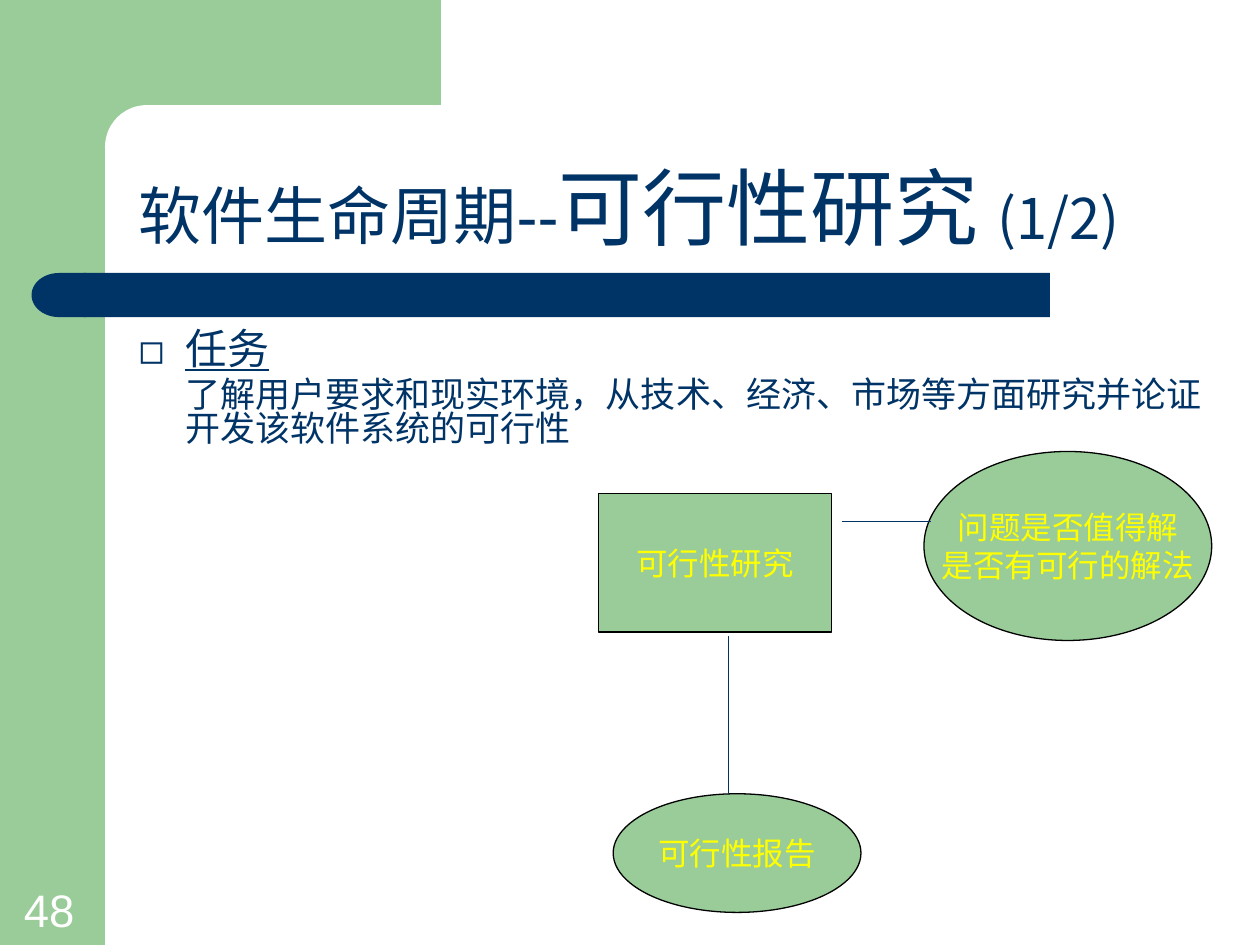
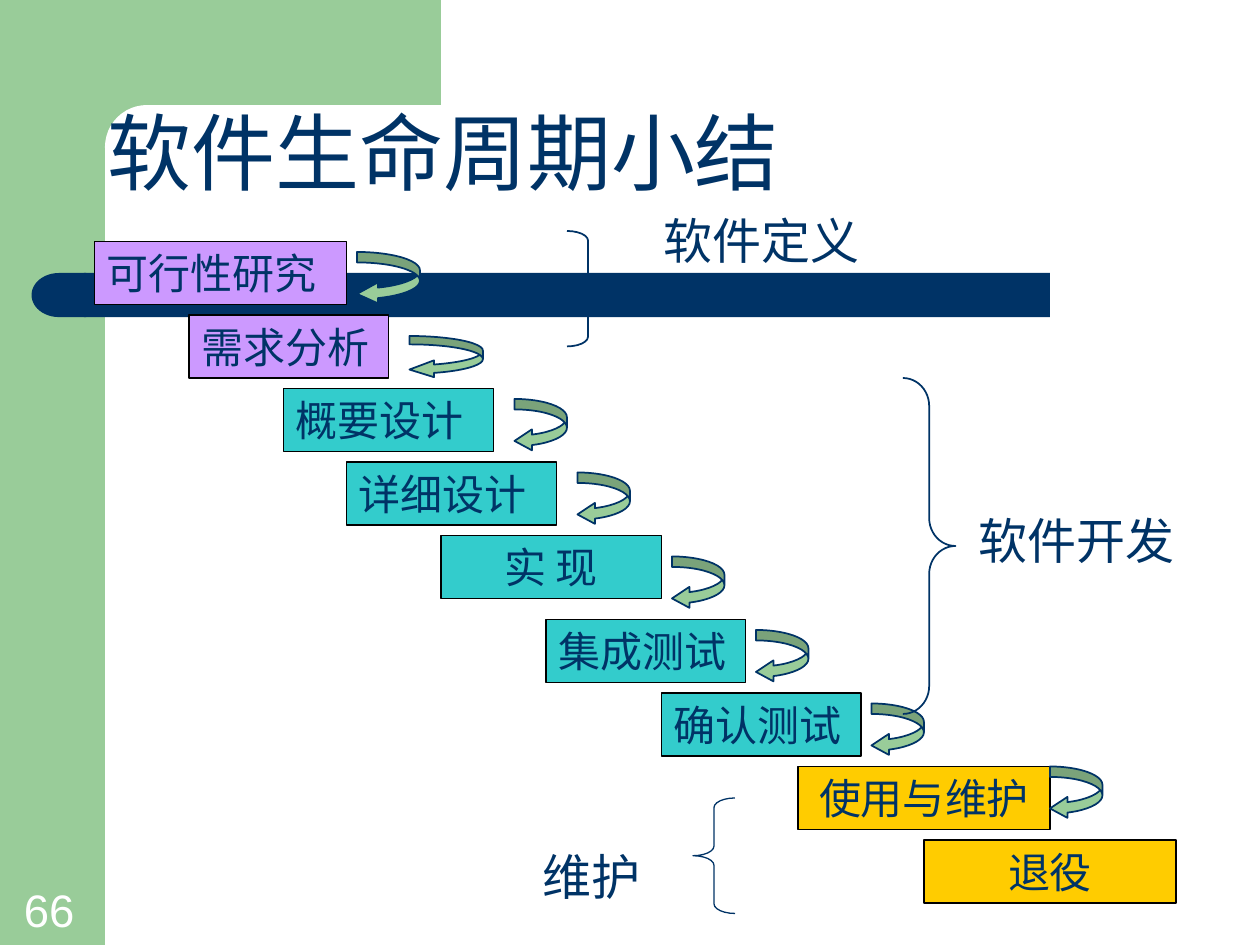
from collections import namedtuple

from lxml import etree
from pptx import Presentation
from pptx import util as u
from pptx.dml.color import RGBColor
from pptx.enum import shapes, text
from pptx.oxml.ns import qn

COLORS = {
    "green": "99CC99", "navy": "003366", "white": "FFFFFF", "black": "000000",
    "yellow": "FFFF00", "violet": "CC99FF", "teal": "33CCCC", "gold": "FFCC00",
}
SANS, SERIF, CHINESE = "Arial", "Times New Roman", "Noto Sans CJK SC"
COLUMNS, ROWS = 120, 90
CELL = u.Inches(10) // COLUMNS
KIND = shapes.MSO_SHAPE
ALIGN, ANCHOR = text.PP_ALIGN, text.MSO_ANCHOR

# Every box is given in columns and rows of the slide grid.
Box = namedtuple("Box", "left top width height")
SLIDE = Box(0, 0, COLUMNS, ROWS)


def inside(area, left, top, width, height):
    return Box(area.left + left, area.top + top, width, height)


def emu(box):
    return [u.Emu(round(value * CELL)) for value in box]


def color(name):
    return RGBColor.from_string(COLORS[name])


def write(paragraph, words, size, font=SANS, ink="navy", underline=None,
          align=None, line_spacing=None, before=0):
    """Append a run to the paragraph and format both."""
    run = paragraph.add_run()
    run.text = words
    run.font.size = u.Pt(size)
    run.font.name = font
    run.font.underline = underline
    run.font.color.rgb = color(ink)
    east_asian = etree.SubElement(run.font._element, qn("a:ea"))
    east_asian.set("typeface", CHINESE)
    paragraph.space_before = u.Pt(before)
    if align is not None:
        paragraph.alignment = align
    if line_spacing is not None:
        paragraph.line_spacing = line_spacing


def prepare(frame, anchor=ANCHOR.TOP, wrap=True):
    frame.auto_size = text.MSO_AUTO_SIZE.NONE
    frame.word_wrap = wrap
    frame.vertical_anchor = anchor
    return frame


def add_shape(slide, kind, box, fill=None, line=None, width=0.75, adjustments=()):
    shape = slide.shapes.add_shape(kind, *emu(box))
    shape.shadow.inherit = False
    for index, value in enumerate(adjustments):
        shape.adjustments[index] = value
    if fill:
        shape.fill.solid()
        shape.fill.fore_color.rgb = color(fill)
    else:
        shape.fill.background()
    if line:
        shape.line.color.rgb = color(line)
        shape.line.width = u.Pt(width)
    else:
        shape.line.fill.background()
    return shape


def add_label(slide, box, words, size, anchor=ANCHOR.TOP, **style):
    frame = prepare(slide.shapes.add_textbox(*emu(box)).text_frame, anchor)
    write(frame.paragraphs[0], words, size, **style)


def add_line(slide, area, start, end):
    points = [area.left + start[0], area.top + start[1],
              area.left + end[0], area.top + end[1]]
    connector = slide.shapes.add_connector(shapes.MSO_CONNECTOR.STRAIGHT, *emu(points))
    connector.line.color.rgb = color("navy")
    connector.line.width = u.Pt(0.75)
    etree.SubElement(connector.element.spPr, qn("a:effectLst"))


def place(placeholder, box, anchor=ANCHOR.TOP):
    """Move a placeholder to the box, in front of what is drawn so far."""
    (placeholder.left, placeholder.top,
     placeholder.width, placeholder.height) = emu(box)
    placeholder.element.getparent().append(placeholder.element)
    return prepare(placeholder.text_frame, anchor)


def add_frame(slide, area, number):
    """Draw the side band, the title bar and the page number."""
    add_shape(slide, KIND.RECTANGLE, inside(area, 0, 0, 10, area.height), "green")
    add_shape(slide, KIND.RECTANGLE, inside(area, 9, 0, 33, 14), "green")
    add_shape(slide, KIND.ROUNDED_RECTANGLE, inside(area, 10, 10, 67, 8), "white",
              adjustments=[0.5])
    add_shape(slide, KIND.RECTANGLE, inside(area, 8, 26, 92, 4.2), "navy")
    cap = add_shape(slide, KIND.FLOWCHART_DELAY, inside(area, 3, 26, 5.2, 4.2), "navy")
    cap.rotation = 180
    add_label(slide, inside(area, 1.1, 83.3, 7.7, 6.5), number, 26,
              anchor=ANCHOR.BOTTOM, ink="white")


def new_slide(presentation, layout, number):
    slide = presentation.slides.add_slide(presentation.slide_layouts[layout])
    add_frame(slide, SLIDE, number)
    return slide


def set_indent(paragraph, hanging, bullet=None):
    properties = paragraph._p.get_or_add_pPr()
    margin = u.Inches(0.37)
    properties.set("marL", str(margin))
    properties.set("indent", str(-margin if hanging else 0))
    if bullet:
        fill = etree.SubElement(properties, qn("a:buClr"))
        etree.SubElement(fill, qn("a:srgbClr")).set("val", COLORS["navy"])
        etree.SubElement(properties, qn("a:buFont")).set("typeface", CHINESE)
        etree.SubElement(properties, qn("a:buChar")).set("char", bullet)
    else:
        etree.SubElement(properties, qn("a:buNone"))


def add_task(slide, box):
    frame = place(slide.placeholders[1], box)
    heading, detail = frame.paragraphs[0], frame.add_paragraph()
    set_indent(heading, hanging=True, bullet="◻")
    write(heading, "任务", 24, underline=True, align=ALIGN.LEFT, line_spacing=0.8)
    set_indent(detail, hanging=False)
    write(detail, "了解用户要求和现实环境，从技术、经济、市场等方面研究并论证开发该软件系统的可行性",
          20, align=ALIGN.LEFT, line_spacing=0.8, before=5)


def add_study_diagram(slide, area):
    nodes = [
        (KIND.RECTANGLE, (0, 4, 22.2, 13.2), ["可行性研究"]),
        (KIND.OVAL, (31, 0, 27.4, 18), ["问题是否值得解", "是否有可行的解法"]),
        (KIND.OVAL, (1.4, 32.6, 23.6, 11.3), ["可行性报告"]),
    ]
    for kind, position, lines in nodes:
        node = add_shape(slide, kind, inside(area, *position), "green", "black")
        frame = prepare(node.text_frame, ANCHOR.MIDDLE, wrap=False)
        for index, words in enumerate(lines):
            paragraph = frame.add_paragraph() if index else frame.paragraphs[0]
            write(paragraph, words, 18, ink="yellow", align=ALIGN.CENTER)
    add_line(slide, area, (12.4, 17.6), (12.4, 32.6))
    add_line(slide, area, (23.2, 6.7), (31.7, 6.7))


def add_feasibility_slide(presentation):
    slide = new_slide(presentation, 1, "48")
    title = place(slide.shapes.title, inside(SLIDE, 12, 10, 105, 15), ANCHOR.BOTTOM)
    for words, size, font in [("软件生命周期--", 36, SANS),
                              ("可行性研究 ", 48, CHINESE), ("(1/2)", 32, CHINESE)]:
        write(title.paragraphs[0], words, size, font=font,
              align=ALIGN.LEFT, line_spacing=0.8)
    add_task(slide, inside(SLIDE, 12, 31, 105, 55))
    add_study_diagram(slide, inside(SLIDE, 57, 43, 59, 44))


def add_return_arrow(slide, box):
    shortest = min(box.width, box.height)
    add_shape(slide, KIND.CURVED_LEFT_ARROW, box, "green", "navy", width=1,
              adjustments=[0.2, 0.4, box.width / 3 / shortest])


def add_staircase(slide, area):
    """Draw the steps; each arrow is offset from its step's top right corner."""
    left, center = ALIGN.LEFT, ALIGN.CENTER
    steps = [
        ("可行性研究", "violet", left, (0, 0, 24), (1, 1, 6, 5)),
        ("需求分析", "violet", left, (9, 7, 19), (2, 2, 7, 4)),
        ("概要设计", "teal", left, (18, 14, 20), (2, 1, 5, 5)),
        ("详细设计", "teal", left, (24, 21, 20), (2, 1, 5, 5)),
        ("实 现", "teal", center, (33, 28, 21), (1, 2, 5, 5)),
        ("集成测试", "teal", left, (43, 36, 19), (1, 1, 5, 5)),
        ("确认测试", "teal", left, (54, 43, 19), (1, 1, 5, 5)),
        ("使用与维护", "gold", center, (67, 50, 24), (0, 0, 5, 5)),
        ("退役", "gold", center, (79, 57, 24), None),
    ]
    for words, fill, align, position, arrow in steps:
        box = inside(area, *position, 6)
        step = add_shape(slide, KIND.RECTANGLE, box, fill, "black")
        write(prepare(step.text_frame).paragraphs[0], words, 24, font=SERIF, align=align)
        if arrow:
            corner = Box(box.left + box.width, box.top, 0, 0)
            add_return_arrow(slide, inside(corner, *arrow))


def add_phases(slide, area):
    phases = [
        ("软件定义", (12, 0.5, 24, 6.8), KIND.RIGHT_BRACE, (4, 3, 4, 11), 1),
        ("软件开发", (42, 29, 24, 6.8), KIND.RIGHT_BRACE, (36, 17, 5, 32), 1),
        ("维护", (0.5, 61, 14.4, 6.8), KIND.LEFT_BRACE, (16, 57, 4, 11), 0.75),
    ]
    for words, label, kind, brace, width in phases:
        box = inside(area, *brace)
        add_shape(slide, kind, box, line="navy", width=width,
                  adjustments=[box.height / 12 / box.width, 0.5])
        add_label(slide, inside(area, *label), words, 28, font=SERIF)


def add_summary_slide(presentation):
    slide = new_slide(presentation, 5, "66")
    title = place(slide.shapes.title, inside(SLIDE, 9, 9, 77.4, 10.8))
    write(title.paragraphs[0], "软件生命周期小结", 48, font=CHINESE, align=ALIGN.JUSTIFY)
    add_staircase(slide, inside(SLIDE, 9, 23, 103, 63))
    add_phases(slide, inside(SLIDE, 50, 19, 66, 68))


def main():
    presentation = Presentation()
    presentation.slide_width = COLUMNS * CELL
    presentation.slide_height = ROWS * CELL
    add_feasibility_slide(presentation)
    add_summary_slide(presentation)
    presentation.save("out.pptx")


if __name__ == "__main__":
    main()
